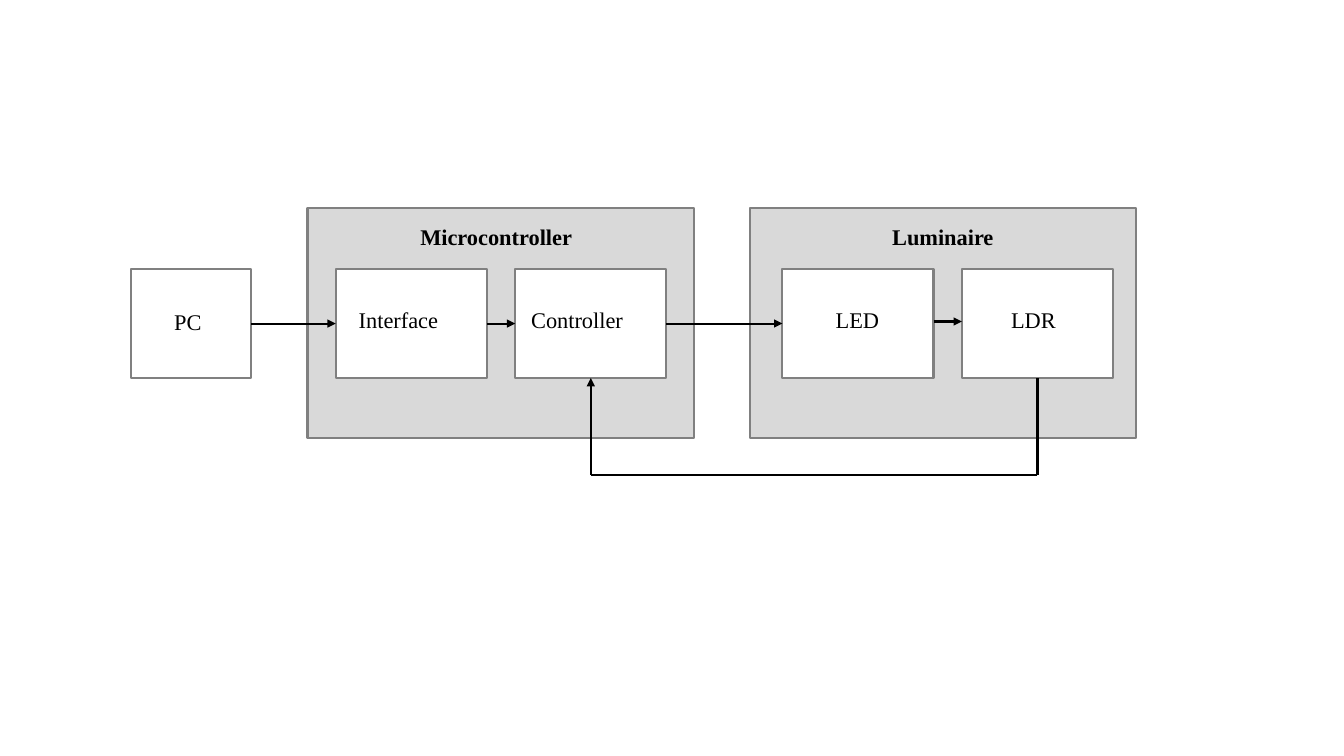
from pptx import Presentation
from pptx.dml.color import RGBColor
from pptx.enum.shapes import MSO_CONNECTOR, MSO_SHAPE
from pptx.oxml.ns import qn
from pptx.util import Inches, Pt
from lxml import etree

RECT = MSO_SHAPE.RECTANGLE
STRAIGHT = MSO_CONNECTOR.STRAIGHT
FONT = "Times New Roman"
BLACK, GRAY, PANEL, WHITE = "000000", "808080", "D9D9D9", "FFFFFF"

PANEL_TOP, PANEL_W, PANEL_H = 2.06, 3.83, 2.29
BLOCK_TOP, BLOCK_W, BLOCK_H = 2.67, 1.5, 1.08
PC_LEFT, PC_W = 1.3, 1.19
FEEDBACK_Y = 4.71
LABEL_H = 0.37

panels = [3.05, 7.44]
blocks = {"Interface": 3.33, "Controller": 5.11, "LED": 7.76, "LDR": 9.54}
labels = [
    ("PC", 1.63, 3.01, 0.53, False),
    ("Interface", 3.46, 2.99, 1.24, False),
    ("Controller", 5.17, 2.99, 1.37, False),
    ("LED", 8.19, 2.99, 0.64, False),
    ("LDR", 9.93, 2.99, 0.72, False),
    ("Microcontroller", 4.07, 2.16, 1.79, True),
    ("Luminaire", 8.75, 2.16, 1.22, True),
]


def rgb(value):
    return RGBColor.from_string(value)


def add_box(shapes, x, y, w, h, fill=None):
    sp = shapes.add_shape(RECT, Inches(x), Inches(y), Inches(w), Inches(h))
    sp.shadow.inherit = False
    if fill:
        sp.fill.solid()
        sp.fill.fore_color.rgb = rgb(fill)
    else:
        sp.fill.background()
    sp.line.color.rgb = rgb(GRAY)
    sp.line.width = Pt(1.5)


def add_label(shapes, text, x, y, w, bold):
    tf = shapes.add_textbox(Inches(x), Inches(y), Inches(w), Inches(LABEL_H)).text_frame
    tf.word_wrap = True
    p = tf.paragraphs[0]
    p.text = text
    p.font.name = FONT
    p.font.size = Pt(16)
    p.font.bold = bold
    p.font.color.rgb = rgb(BLACK)


def add_line(shapes, start, end, arrow=True):
    points = [Inches(v) for v in (*start, *end)]
    cx = shapes.add_connector(STRAIGHT, *points)
    cx.line.color.rgb = rgb(BLACK)
    cx.line.width = Pt(1.5)
    if arrow:
        etree.SubElement(cx.line._get_or_add_ln(), qn("a:tailEnd"), type="triangle")
    etree.SubElement(cx._element.spPr, qn("a:effectLst"))


def main():
    prs = Presentation()
    prs.slide_width, prs.slide_height = Inches(13.33), Inches(7.5)
    s = prs.slides.add_slide(prs.slide_layouts[6])
    shapes = s.shapes.add_group_shape().shapes

    add_box(shapes, PC_LEFT, BLOCK_TOP, PC_W, BLOCK_H)
    for x in panels:
        add_box(shapes, x, PANEL_TOP, PANEL_W, PANEL_H, PANEL)
    for x in blocks.values():
        add_box(shapes, x, BLOCK_TOP, BLOCK_W, BLOCK_H, WHITE)
    for label in labels:
        add_label(shapes, *label)

    lefts = list(blocks.values())
    rights = [PC_LEFT + PC_W] + [x + BLOCK_W for x in lefts]
    flow_ys = [3.21, 3.21, 3.21, 3.19]
    for x1, x2, y in zip(rights, lefts, flow_ys):
        add_line(shapes, (x1, y), (x2, y))

    bottom = BLOCK_TOP + BLOCK_H
    ldr_x = blocks["LDR"] + BLOCK_W / 2
    controller_x = blocks["Controller"] + BLOCK_W / 2
    feedback = [(ldr_x, bottom), (ldr_x, FEEDBACK_Y),
                (controller_x, FEEDBACK_Y), (controller_x, bottom)]
    for start, end in zip(feedback, feedback[1:]):
        add_line(shapes, start, end, arrow=end == feedback[-1])

    prs.save("out.pptx")


if __name__ == "__main__":
    main()
